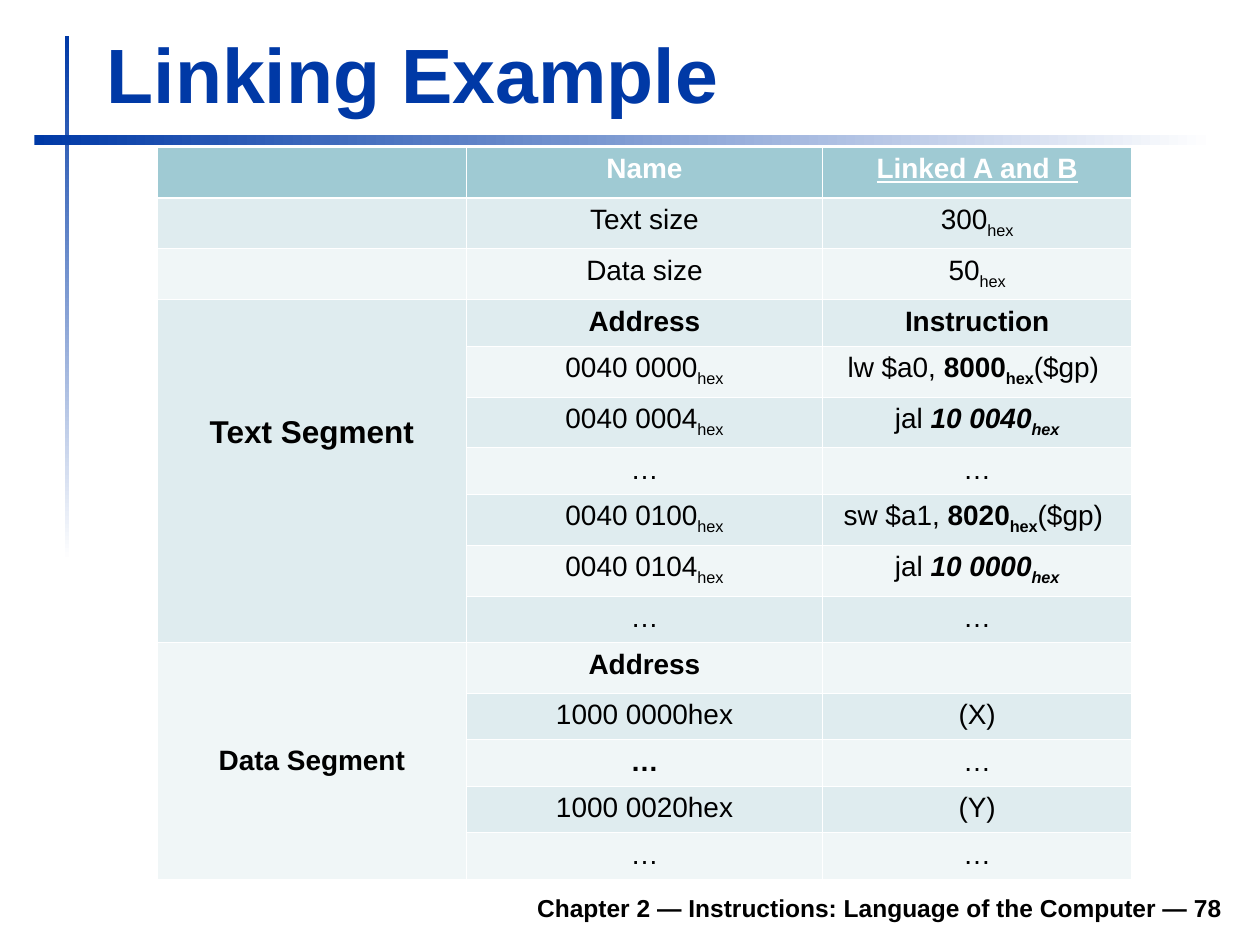
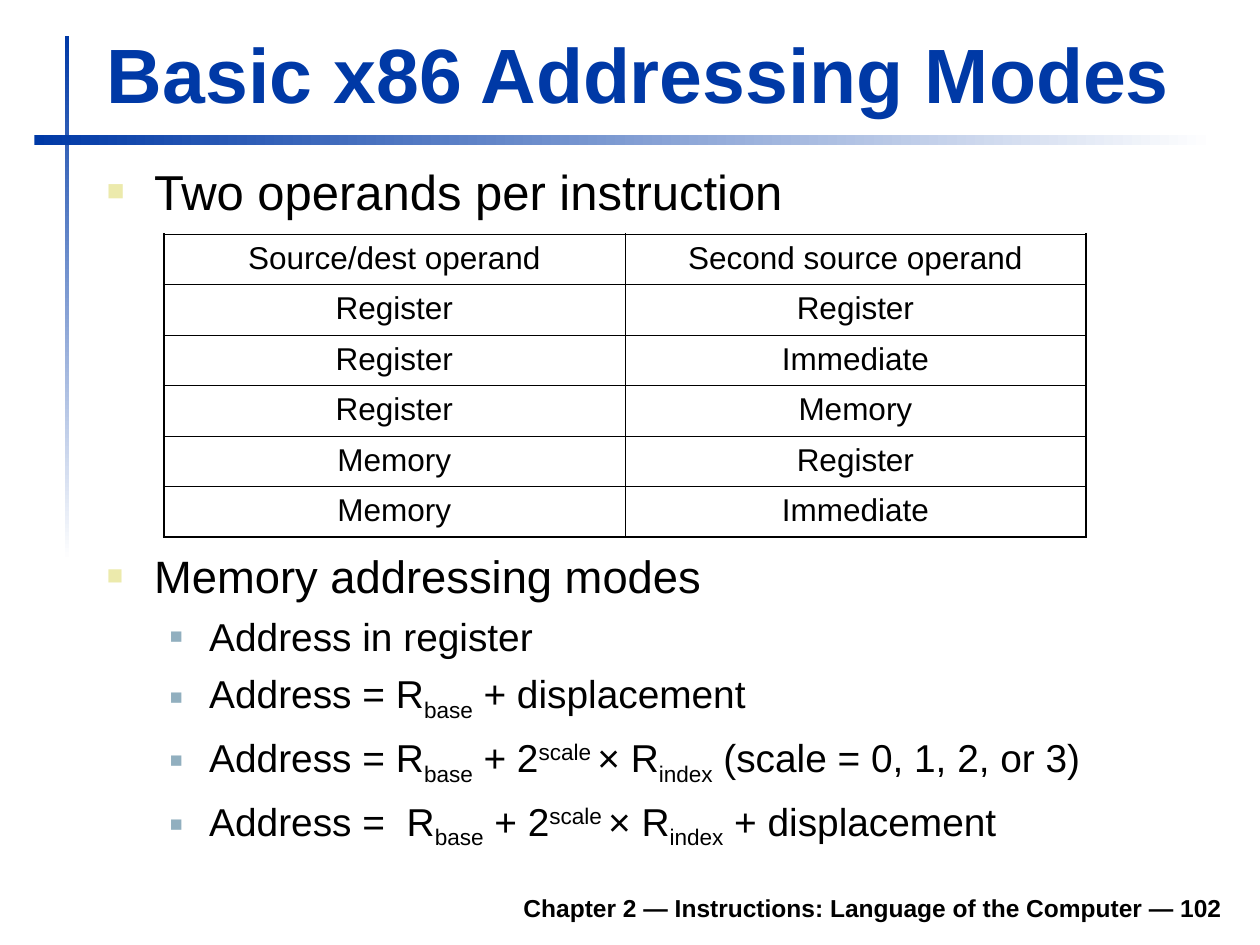
from lxml import etree
from pptx import Presentation
from pptx.dml.color import RGBColor
from pptx.enum import shapes, text
from pptx.oxml import ns
from pptx.util import Pt

FONT = "Arial"
COLORS = {
    "blue": "0039A6", "white": "FFFFFF", "black": "000000",
    "header": "9FCAD3", "band_dark": "DFECEF", "band_light": "F0F6F7",
    "bullet_1": "ECEAAC", "bullet_2": "91AFBF",
}
# Per level: left indent, hanging indent, space before, bullet colour, bullet percent
LEVELS = [(27, 27, 7, "bullet_1", 60), (58.5, 22.5, 6, "bullet_2", 55)]
THIN = 0.45

# Runs are separated by "|"; leading flags: * bold, / italic, _ subscript,
# ^ superscript, ~ underline.
LINKED_ROWS = [
    ("", "*Name", "*~Linked A and B"),
    ("", "Text size", "300|_hex"),
    ("", "Data size", "50|_hex"),
    ("*Text Segment", "*Address", "*Instruction"),
    ("", "0040 0000|_hex", "lw $a0, |*8000|*_hex|($gp) "),
    ("", "0040 0004|_hex", "jal |*/10 0040|*/_hex"),
    ("", "…", "…"),
    ("", "0040 0100|_hex", "sw $a1, |*8020|*_hex|($gp) "),
    ("", "0040 0104|_hex", "jal |*/10 0000|*/_hex"),
    ("", "…", "…"),
    ("*Data Segment", "*Address", ""),
    ("", "1000 0000hex", "(X)"),
    ("", "*…", "…"),
    ("", "1000 0020hex", "(Y)"),
    ("", "…", "…"),
]
# First row, last row, text size, top margin of each segment label
SEGMENTS = [(3, 9, 18, 65.7), (10, 14, 16, 58.8)]

OPERAND_ROWS = [
    ("Source/dest operand", "Second source operand"),
    ("Register", "Register"),
    ("Register", "Immediate"),
    ("Register", "Memory"),
    ("Memory", "Register"),
    ("Memory", "Immediate"),
]
ADDRESSING_MODES = [
    "Address in register",
    "Address = R|_base| + displacement",
    "Address = R|_base| + 2|^scale |× R|_index| (scale = 0, 1, 2, or 3)",
    "Address =  R|_base| + 2|^scale |× R|_index| + displacement",
]


def rgb(name):
    return RGBColor.from_string(COLORS[name])


def add_runs(p, markup, size, color="black", bold=False):
    """Write markup into p, one run for each part between bars."""
    for part in markup.split("|"):
        content = part.lstrip("*/_^~")
        flags = part[:len(part) - len(content)]
        r = p.add_run()
        r.text = content
        f = r.font
        f.name, f.size = FONT, Pt(size)
        f.color.rgb = rgb(color)
        f.bold = bold or "*" in flags
        f.italic = "/" in flags
        f.underline = "~" in flags
        if "_" in flags:
            f._element.set("baseline", "-25000")
        elif "^" in flags:
            f._element.set("baseline", "30000")


def add_text(s, box, anchor=text.MSO_ANCHOR.TOP):
    tf = s.shapes.add_textbox(*map(Pt, box)).text_frame
    tf.word_wrap = True
    tf.vertical_anchor = anchor
    return tf


def add_line(s, box, markup, size, color="black", align=text.PP_ALIGN.LEFT):
    """Add a bold, bottom-anchored single line."""
    p = add_text(s, box, text.MSO_ANCHOR.BOTTOM).paragraphs[0]
    p.alignment = align
    add_runs(p, markup, size, color, bold=True)


def add_bullets(s, box, items):
    """Add a bulleted list of (level, markup, size) items."""
    tf = add_text(s, box)
    for i, (level, markup, size) in enumerate(items):
        p = tf.add_paragraph() if i else tf.paragraphs[0]
        left, hang, before, color, percent = LEVELS[level]
        p.level = level
        if i:
            p.space_before = Pt(before)
        pPr = p._p.get_or_add_pPr()
        pPr.set("marL", str(Pt(left)))
        pPr.set("indent", str(-Pt(hang)))
        bu = etree.SubElement(pPr, ns.qn("a:buClr"))
        etree.SubElement(bu, ns.qn("a:srgbClr"), val=COLORS[color])
        etree.SubElement(pPr, ns.qn("a:buSzPct"), val=str(percent * 1000))
        etree.SubElement(pPr, ns.qn("a:buFont"), typeface=FONT)
        etree.SubElement(pPr, ns.qn("a:buChar"), char="■")
        add_runs(p, markup, size)


def add_fading_bar(s, box, angle):
    sp = s.shapes.add_shape(shapes.MSO_SHAPE.RECTANGLE, *map(Pt, box))
    sp.shadow.inherit = False
    sp.line.fill.background()
    sp.fill.gradient()
    sp.fill.gradient_angle = angle
    for stop, position, color in zip(sp.fill.gradient_stops, (0, 1), ("blue", "white")):
        stop.position = position
        stop.color.rgb = rgb(color)


def set_borders(cell, color, left, right, top, bottom):
    tcPr = cell._tc.get_or_add_tcPr()
    for side, width in zip("LRTB", (left, right, top, bottom)):
        ln = etree.SubElement(tcPr, ns.qn("a:ln" + side), w=str(Pt(width)))
        fill = etree.SubElement(ln, ns.qn("a:solidFill"))
        etree.SubElement(fill, ns.qn("a:srgbClr"), val=COLORS[color])


def add_table(s, left, top, widths, heights):
    box = left, top, sum(widths), sum(heights)
    table = s.shapes.add_table(len(heights), len(widths), *map(Pt, box)).table
    table.first_row = table.horz_banding = False
    for column, width in zip(table.columns, widths):
        column.width = Pt(width)
    for row, height in zip(table.rows, heights):
        row.height = Pt(height)
    return table


def fill_cell(cell, markup, size, color="black"):
    if markup:
        p = cell.text_frame.paragraphs[0]
        p.alignment = text.PP_ALIGN.CENTER
        add_runs(p, markup, size, color)


def add_linked_table(s):
    heights = [28.8 if i < 3 or "_hex" in row[1] else 26.6
               for i, row in enumerate(LINKED_ROWS)]
    table = add_table(s, 90, 84.24, (176.4, 203.8, 176.4), heights)
    labels = {first: (size, margin) for first, _, size, margin in SEGMENTS}
    for i, row in enumerate(LINKED_ROWS):
        band = "header" if i == 0 else "band_dark" if i % 2 else "band_light"
        for j, markup in enumerate(row):
            cell = table.cell(i, j)
            set_borders(cell, "white", THIN, THIN,
                        1.47 if i == 1 else THIN, 1.47 if i == 0 else THIN)
            cell.fill.solid()
            cell.fill.fore_color.rgb = rgb(band)
            size = 16
            if j == 0 and i in labels:
                size, margin = labels[i]
                cell.margin_top = Pt(margin)
            fill_cell(cell, markup, size, "black" if i else "white")
    for first, last, _, _ in SEGMENTS:
        table.cell(first, 0).merge(table.cell(last, 0))


def add_operand_table(s):
    last = len(OPERAND_ROWS) - 1
    table = add_table(s, 93.6, 133.9, [263.5] * 2, [28.8] * len(OPERAND_ROWS))
    for i, row in enumerate(OPERAND_ROWS):
        for j, markup in enumerate(row):
            cell = table.cell(i, j)
            outer = (j == 0, j == 1, i == 0, i == last)
            set_borders(cell, "black", *(1.08 if o else THIN for o in outer))
            cell.fill.background()
            fill_cell(cell, markup, 18)


def add_slide(prs, title, number):
    s = prs.slides.add_slide(prs.slide_layouts[6])
    add_fading_bar(s, (36.9, 20.4, 2.6, 300), 270)
    add_fading_bar(s, (19.7, 77, 674.6, 5.9), 0)
    add_line(s, (133.2, 502.6, 572.4, 28),
             f"Chapter 2 — Instructions: Language of the Computer — {number}",
             14, align=text.PP_ALIGN.RIGHT)
    add_line(s, (54, 11.5, 650.2, 59.8), title, 44, "blue")
    return s


def main():
    prs = Presentation()
    prs.slide_width, prs.slide_height = Pt(720), Pt(540)

    s = add_slide(prs, "Linking Example", 78)
    add_linked_table(s)

    s = add_slide(prs, "Basic x86 Addressing Modes", 102)
    add_bullets(s, (54, 88.6, 650.9, 51), [(0, "Two operands per instruction", 28)])
    add_operand_table(s)
    add_bullets(s, (54, 309.6, 650.9, 181.4),
                [(0, "Memory addressing modes", 25.9)]
                + [(1, mode, 22.2) for mode in ADDRESSING_MODES])

    prs.save("out.pptx")


if __name__ == "__main__":
    main()
